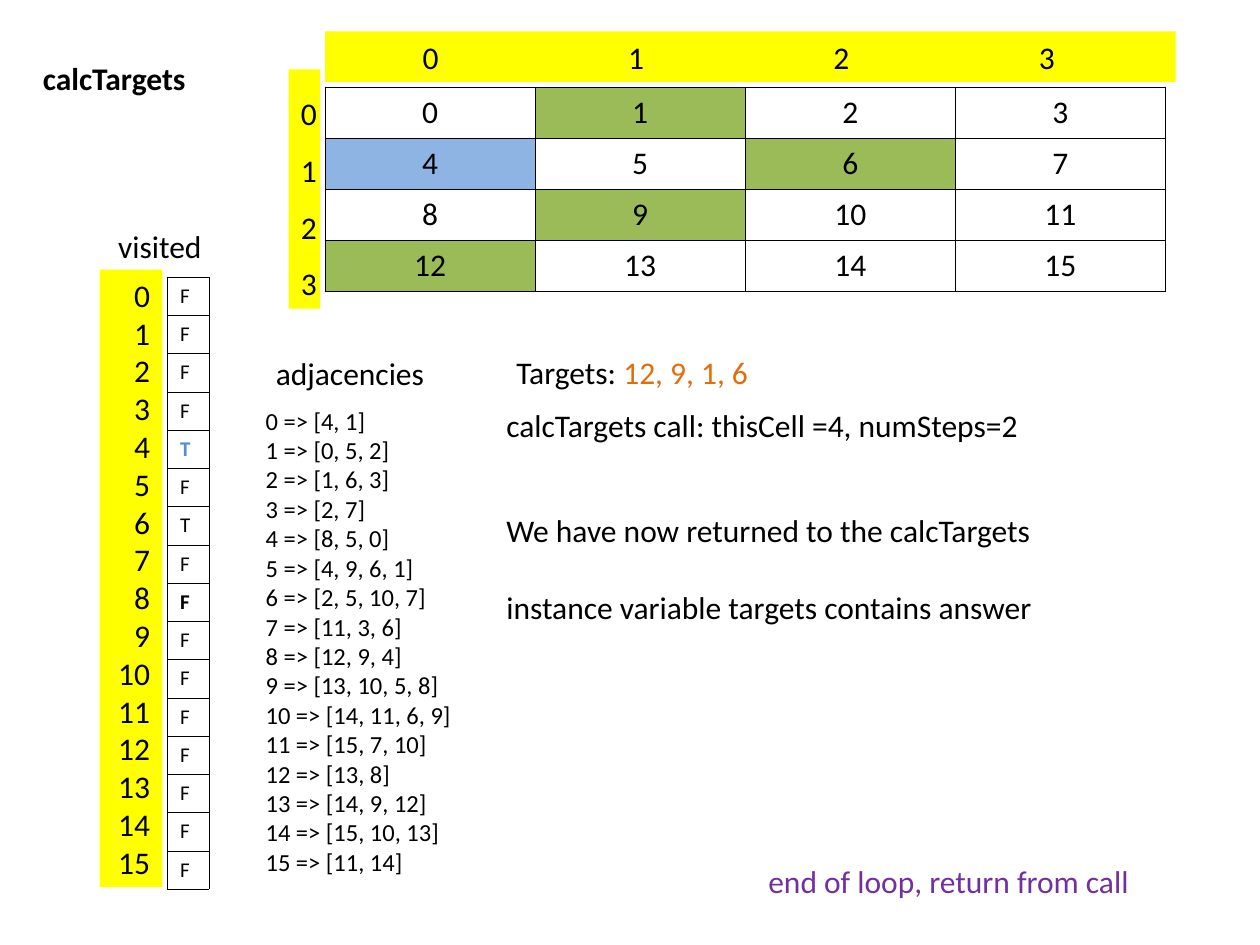
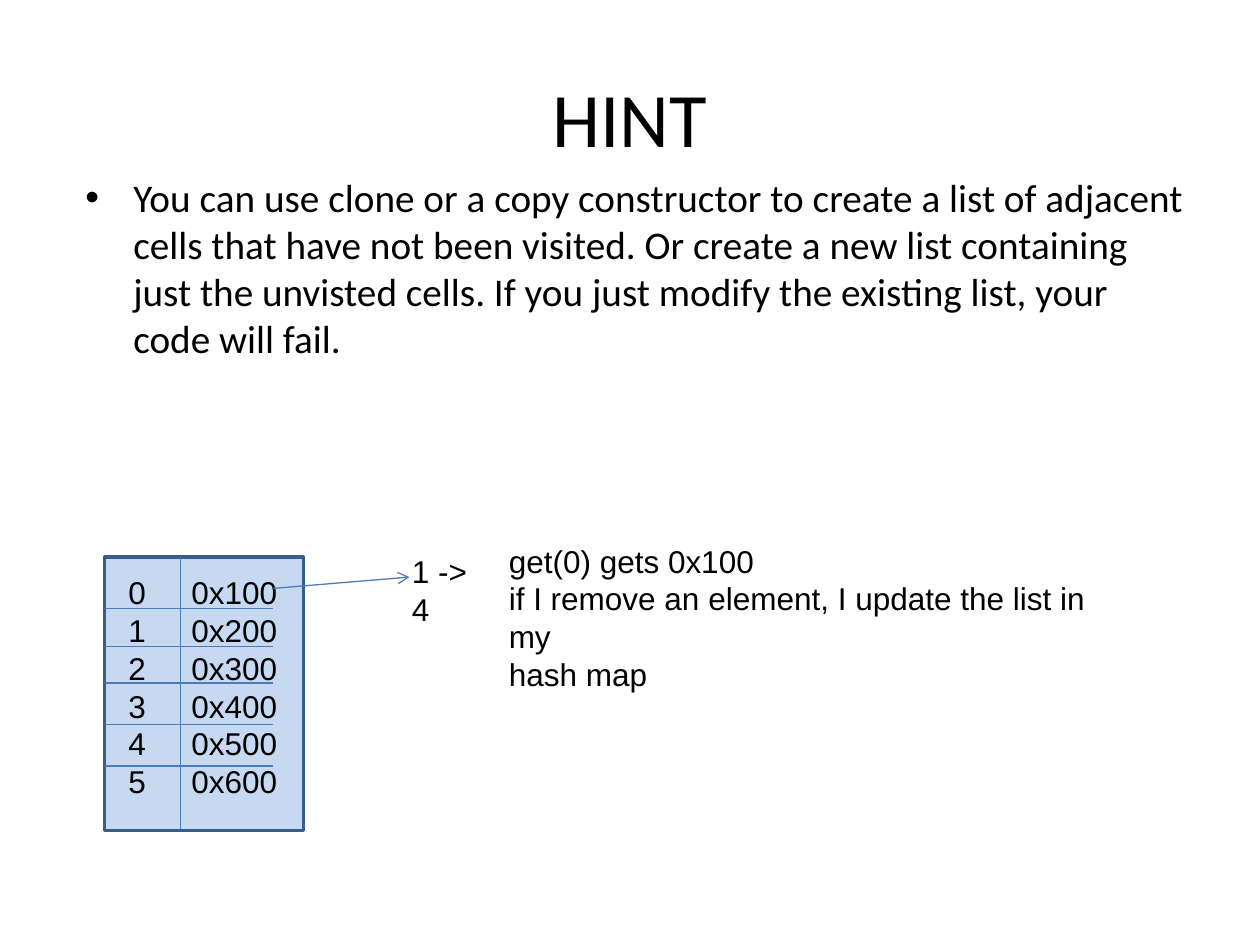
from lxml import etree
from pptx import Presentation
from pptx.dml.color import RGBColor
from pptx.enum.shapes import MSO_CONNECTOR, MSO_SHAPE
from pptx.enum.text import MSO_ANCHOR, PP_ALIGN
from pptx.oxml.ns import qn
from pptx.util import Inches, Pt

LEFT, MID, RIGHT = PP_ALIGN.LEFT, PP_ALIGN.CENTER, PP_ALIGN.RIGHT
TOP, CENTER = MSO_ANCHOR.TOP, MSO_ANCHOR.MIDDLE
RECT, LINE = MSO_SHAPE.RECTANGLE, MSO_CONNECTOR.STRAIGHT
TITLE_ONLY = 5
COLORS = {
    "ink": "000000", "paper": "FFFFFF", "band": "FFFF00",
    "target": "9BBB59", "start": "8EB4E3", "mark": "558ED5",
    "answer": "E46C0A", "end": "7030A0",
    "map": "C6D9F1", "edge": "385D8A", "rule": "4A7EBB",
}


def color(name):
    return RGBColor.from_string(COLORS[name])


def add(parent, tag, **attrs):
    return etree.SubElement(parent, qn(tag), attrs)


class Deck:
    def __init__(self):
        self.show = Presentation()
        self.show.slide_width, self.show.slide_height = Inches(10), Inches(7.5)
        self.font = "Calibri"
        self.slide = None

    def start(self, title, box, **style):
        self.slide = self.show.slides.add_slide(self.show.slide_layouts[TITLE_ONLY])
        shape = self.slide.shapes.title
        shape.left, shape.top, shape.width, shape.height = map(Inches, box)
        self.fill_text(shape.text_frame, [title], **style)

    def fill_text(self, frame, lines, wrap=True, anchor=TOP, **style):
        frame.word_wrap = wrap
        frame.vertical_anchor = anchor
        for i, line in enumerate(lines):
            para = frame.paragraphs[0] if i == 0 else frame.add_paragraph()
            self.put(para, line, **style)
            para.space_before = Pt(style.get("gap", 0) if i else 0)

    def put(self, para, line, size=18, ink="ink", bold=False, align=LEFT,
            space=1, gap=0, bullet=None, tabs=()):
        props = para._p.get_or_add_pPr()
        if bullet:
            props.set("marL", str(Inches(0.38)))
            props.set("indent", str(-Inches(0.38)))
            add(props, "a:buFont", typeface="Arial")
            add(props, "a:buChar", char=bullet)
        if tabs:
            stops = add(props, "a:tabLst")
            for stop in tabs:
                add(stops, "a:tab", pos=str(Inches(stop)), algn="ctr")
        para.alignment, para.line_spacing = align, space
        runs = [(line, ink)] if isinstance(line, str) else line
        for text, tone in runs:
            run = para.add_run()
            run.text = text
            run.font.name, run.font.size, run.font.bold = self.font, Pt(size), bold
            run.font.color.rgb = color(tone)

    def text(self, box, lines, **style):
        shape = self.slide.shapes.add_textbox(*map(Inches, box))
        self.fill_text(shape.text_frame, lines, **style)

    def block(self, box, fill, edge=None, lines=(), **style):
        shape = self.slide.shapes.add_shape(RECT, *map(Inches, box))
        shape.shadow.inherit = False
        shape.fill.solid()
        shape.fill.fore_color.rgb = color(fill)
        if edge:
            shape.line.color.rgb, shape.line.width = color(edge), Pt(2)
        else:
            shape.line.fill.background()
        self.fill_text(shape.text_frame, lines, **style)

    def line(self, x1, y1, x2, y2, arrow=False):
        link = self.slide.shapes.add_connector(LINE, *map(Inches, (x1, y1, x2, y2)))
        link.line.color.rgb, link.line.width = color("rule"), Pt(0.75)
        if arrow:
            add(link.line._get_or_add_ln(), "a:tailEnd", type="arrow")
        add(link._element.spPr, "a:effectLst")

    def table(self, box, rows, fills, style):
        frame = self.slide.shapes.add_table(len(rows), len(rows[0]), *map(Inches, box))
        grid = frame.table
        grid.first_row = grid.horz_banding = False
        for r, row in enumerate(rows):
            grid.rows[r].height = Inches(box[3] / len(rows))
            for c, value in enumerate(row):
                cell = grid.cell(r, c)
                self.frame_cell(cell)
                cell.fill.solid()
                cell.fill.fore_color.rgb = color(fills.get(value, "paper"))
                self.put(cell.text_frame.paragraphs[0], value, **style(r))

    def frame_cell(self, cell):
        props = cell._tc.get_or_add_tcPr()
        for side in ("L", "R", "T", "B"):
            edge = add(props, f"a:ln{side}", w=str(Pt(0.45)))
            add(add(edge, "a:solidFill"), "a:srgbClr", val=COLORS["ink"])


deck = Deck()

deck.start("calcTargets", (0.24, 0.42, 1.36, 0.4), bold=True, wrap=False)
cells = [[str(4 * r + c) for c in range(4)] for r in range(4)]
tones = dict.fromkeys(("1", "6", "9", "12"), "target") | {"4": "start"}
deck.table((2.58, 0.69, 6.67, 1.62), cells, tones, lambda r: {"align": MID})
deck.block((2.58, 0.25, 6.75, 0.4), "band", lines=["\t0\t1\t2\t3"],
           tabs=[0.74 + 1.63 * i for i in range(4)])
deck.block((2.29, 0.55, 0.25, 1.9), "band", lines=list("0123"), space=1.5)
deck.block((0.79, 2.14, 0.5, 4.9), "band",
           lines=[str(i) for i in range(16)], align=RIGHT)
deck.table((1.33, 2.2, 0.33, 4.83), list("FFFFTFTFFFFFFFFF"), {},
           lambda r: {"size": 12, "bold": r in (4, 8),
                      "ink": "mark" if r == 4 else "ink"})
deck.text((0.84, 1.75, 0.86, 0.4), ["visited"], wrap=False)
near = [
    [4, 1], [0, 5, 2], [1, 6, 3], [2, 7],
    [8, 5, 0], [4, 9, 6, 1], [2, 5, 10, 7], [11, 3, 6],
    [12, 9, 4], [13, 10, 5, 8], [14, 11, 6, 9], [15, 7, 10],
    [13, 8], [14, 9, 12], [15, 10, 13], [11, 14],
]
deck.text((2.01, 3.17, 1.67, 3.84),
          [f"{i} => {cell}" for i, cell in enumerate(near)], size=14, wrap=False)
deck.text((2.09, 2.76, 1.38, 0.4), ["adjacencies"], wrap=False)
deck.text((4, 2.75, 2.06, 0.4),
          [[("Targets: ", "ink"), ("12, 9, 1, 6", "answer")]], wrap=False)
deck.text((3.92, 4.01, 5.75, 1),
          ["We have now returned to the calcTargets",
           "instance variable targets contains answer"], gap=22)
deck.text((3.92, 3.17, 4.29, 0.4),
          ["calcTargets call: thisCell =4, numSteps=2"], wrap=False)
deck.text((6, 6.79, 3.83, 0.4), ["end of loop, return from call"], ink="end")

deck.start("HINT", (0.5, 0.3, 9, 1.25), size=44, align=MID, anchor=CENTER)
deck.text((0.58, 1.33, 9, 1.67),
          ["You can use clone or a copy constructor to create a list of adjacent "
           "cells that have not been visited. Or create a new list containing just "
           "the unvisted cells. If you just modify the existing list, your code "
           "will fail."], size=22.4, bullet="•")
deck.font = "Arial"
deck.block((0.83, 4.42, 1.58, 2.17), "map", edge="edge")
deck.line(1.43, 4.42, 1.43, 6.58)
for y in (4.83, 5.13, 5.42, 5.75, 6.08):
    deck.line(0.83, y, 2.17, y)
deck.text((0.92, 4.5, 0.34, 1.9), list("012345"), wrap=False)
deck.text((1.42, 4.5, 0.88, 1.9), [f"0x{i}00" for i in range(1, 7)], wrap=False)
deck.line(2.17, 4.67, 3.25, 4.58, arrow=True)
deck.text((3.17, 4.33, 0.84, 0.4), ["1 -> 4"], wrap=False)
deck.text((3.94, 4.25, 5.17, 1),
          ["get(0) gets 0x100", "if I remove an element, I update the list in my",
           "hash map"], wrap=False)

deck.show.save("out.pptx")
